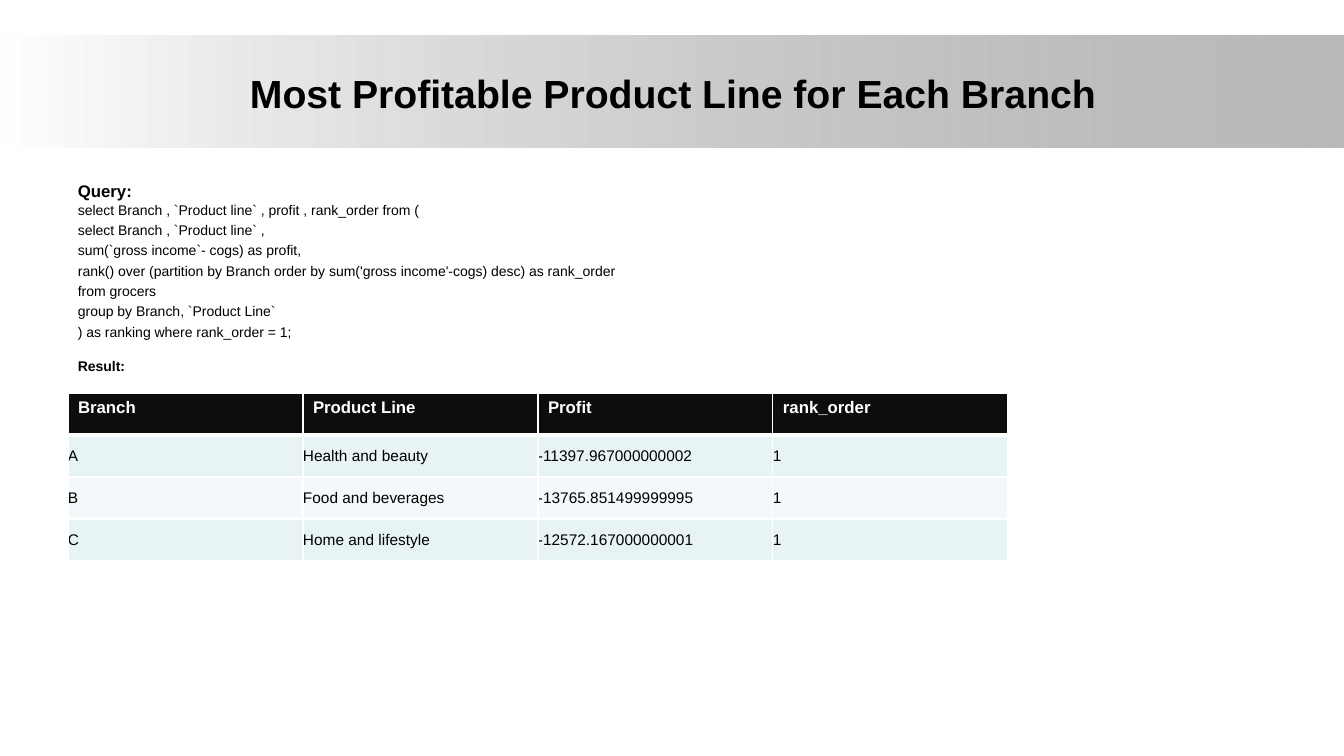
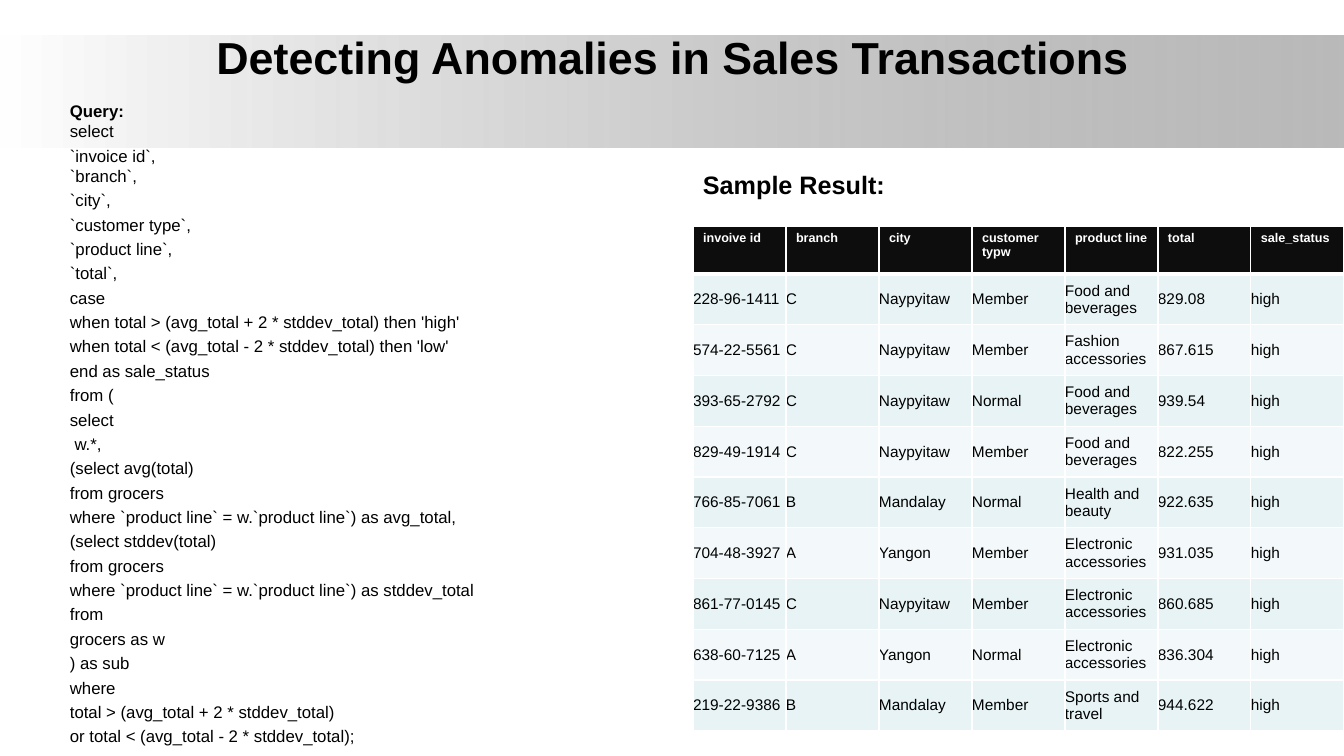
import dataclasses

import lxml.etree
import pptx
import pptx.dml.color
import pptx.enum.shapes
import pptx.enum.text
import pptx.oxml.ns
import pptx.util

PX = 914400 / 100.8
SLIDE_WIDTH, SLIDE_HEIGHT = 1344, 756
MARGIN, CONTENT_WIDTH = 68, 1210


@dataclasses.dataclass(frozen=True)
class Theme:
    font: str = "Arial"
    ink: str = "000000"
    paper: str = "FFFFFF"
    band_end: str = "808080"
    band_end_alpha: int = 54000
    header_fill: str = "0D0D0D"
    row_fills: tuple = ("E7F3F4", "F3F9FA")
    heading_size: int = 12
    subtitle_size: int = 18
    cell_size: int = 11
    rule: int = 1
    header_rule: int = 3
    line_gap: float = 0.25


def px(length):
    return pptx.util.Emu(round(length * PX))


def rgb(value):
    return pptx.dml.color.RGBColor.from_string(value)


class Deck:
    def __init__(self, theme):
        self.theme = theme
        self.presentation = pptx.Presentation()
        self.presentation.slide_width = px(SLIDE_WIDTH)
        self.presentation.slide_height = px(SLIDE_HEIGHT)
        self.slide = None

    def start_slide(self):
        self.slide = self.presentation.slides.add_slide(self.presentation.slide_layouts[6])
        background = self.slide.background.fill
        background.solid()
        background.fore_color.rgb = rgb(self.theme.paper)
        self.band(36, 112)

    def band(self, top, height):
        band = self.slide.shapes.add_shape(
            pptx.enum.shapes.MSO_SHAPE.RECTANGLE, 0, px(top), px(SLIDE_WIDTH), px(height))
        band.shadow.inherit = False
        band.line.fill.background()
        band.fill.gradient()
        band.fill.gradient_angle = 0
        colours = (self.theme.paper, self.theme.band_end)
        for position, (stop, colour) in enumerate(zip(band.fill.gradient_stops, colours)):
            stop.position = position
            stop.color.rgb = rgb(colour)
        end_colour = list(band.element.spPr.iter(pptx.oxml.ns.qn("a:srgbClr")))[-1]
        alpha = lxml.etree.SubElement(end_colour, pptx.oxml.ns.qn("a:alpha"))
        alpha.set("val", str(self.theme.band_end_alpha))

    def style(self, paragraph, size, bold=False, colour=None):
        for run in paragraph.runs:
            run.font.name = self.theme.font
            run.font.size = pptx.util.Pt(size)
            run.font.bold = bold
            run.font.color.rgb = rgb(colour or self.theme.ink)

    def frame(self, left, top, width, height):
        frame = self.slide.shapes.add_textbox(px(left), px(top), px(width), px(height)).text_frame
        frame.word_wrap = True
        return frame

    def title(self, text, top, height, size):
        frame = self.frame(MARGIN, top, CONTENT_WIDTH, height)
        frame.vertical_anchor = pptx.enum.text.MSO_ANCHOR.MIDDLE
        frame.text = text
        frame.paragraphs[0].alignment = pptx.enum.text.PP_ALIGN.CENTER
        self.style(frame.paragraphs[0], size, bold=True)

    def subtitle(self, text, left, top, width, height):
        frame = self.frame(left, top, width, height)
        frame.text = text
        self.style(frame.paragraphs[0], self.theme.subtitle_size, bold=True)

    def query(self, code, left, top, width, height, size, closing=None):
        frame = self.frame(left, top, width, height)
        frame.text = "Query:"
        self.style(frame.paragraphs[0], self.theme.heading_size, bold=True)
        for index, line in enumerate(code):
            paragraph = frame.add_paragraph()
            paragraph.text = line
            paragraph.space_before = pptx.util.Pt(size * self.theme.line_gap if index else 0)
            self.style(paragraph, size)
        if closing:
            paragraph = frame.add_paragraph()
            paragraph.text = closing
            paragraph.space_before = pptx.util.Pt(size * 1.25)
            self.style(paragraph, size, bold=True)

    def borders(self, cell, row):
        properties = cell._tc.get_or_add_tcPr()
        widths = {"L": self.theme.rule, "R": self.theme.rule,
                  "T": self.theme.header_rule if row == 1 else self.theme.rule,
                  "B": self.theme.header_rule if row == 0 else self.theme.rule}
        for index, (side, width) in enumerate(widths.items()):
            line = lxml.etree.Element(pptx.oxml.ns.qn("a:ln" + side), w=str(pptx.util.Pt(width)))
            fill = lxml.etree.SubElement(line, pptx.oxml.ns.qn("a:solidFill"))
            lxml.etree.SubElement(fill, pptx.oxml.ns.qn("a:srgbClr"), val=self.theme.paper)
            properties.insert(index, line)

    def table(self, header, records, left, top, column_width, header_height, body_height, header_size):
        rows = [header, *records]
        table = self.slide.shapes.add_table(
            len(rows), len(header), px(left), px(top),
            px(column_width * len(header)), px(header_height + body_height)).table
        for column in table.columns:
            column.width = px(column_width)
        for row, values in enumerate(rows):
            table.rows[row].height = px(body_height / len(records) if row else header_height)
            for column, value in enumerate(values):
                cell = table.cell(row, column)
                cell.text_frame.text = value
                cell.fill.solid()
                if row == 0:
                    cell.fill.fore_color.rgb = rgb(self.theme.header_fill)
                    self.style(cell.text_frame.paragraphs[0], header_size, True, self.theme.paper)
                else:
                    cell.fill.fore_color.rgb = rgb(self.theme.row_fills[(row - 1) % 2])
                    cell.vertical_anchor = pptx.enum.text.MSO_ANCHOR.MIDDLE
                    cell.margin_left = cell.margin_right = cell.margin_top = cell.margin_bottom = 0
                    self.style(cell.text_frame.paragraphs[0], self.theme.cell_size)
                self.borders(cell, row)


PROFIT_QUERY = (
    "select Branch , `Product line` , profit , rank_order from (",
    "select Branch , `Product line` ,",
    "sum(`gross income`- cogs) as profit,",
    "rank() over (partition by Branch order by sum('gross income'-cogs) desc) as rank_order",
    "from grocers",
    "group by Branch, `Product Line`",
    ") as ranking where rank_order = 1;",
)
PROFIT_HEADER = ("Branch", "Product Line", "Profit", "rank_order")
PROFIT_RECORDS = (
    ("A", "Health and beauty", "-11397.967000000002", "1"),
    ("B", "Food and beverages", "-13765.851499999995", "1"),
    ("C", "Home and lifestyle", "-12572.167000000001", "1"),
)

ANOMALY_QUERY = (
    "select",
    "`invoice id`,\v`branch`,",
    "`city`,",
    "`customer type`,",
    "`product line`,",
    "`total`,",
    "case",
    "when total > (avg_total + 2 * stddev_total) then 'high'",
    "when total < (avg_total - 2 * stddev_total) then 'low'",
    "end as sale_status",
    "from (",
    "select",
    " w.*,",
    "(select avg(total)",
    "from grocers",
    "where `product line` = w.`product line`) as avg_total,",
    "(select stddev(total)",
    "from grocers",
    "where `product line` = w.`product line`) as stddev_total",
    "from",
    "grocers as w",
    ") as sub",
    "where",
    "total > (avg_total + 2 * stddev_total)",
    "or total < (avg_total - 2 * stddev_total);",
)
ANOMALY_HEADER = ("invoive id", "branch", "city", "customer typw",
                  "product line", "total", "sale_status")
BRANCH_CITIES = {"A": "Yangon", "B": "Mandalay", "C": "Naypyitaw"}
ANOMALOUS_SALES = (
    ("228-96-1411", "C", "Member", "Food and beverages", "829.08"),
    ("574-22-5561", "C", "Member", "Fashion accessories", "867.615"),
    ("393-65-2792", "C", "Normal", "Food and beverages", "939.54"),
    ("829-49-1914", "C", "Member", "Food and beverages", "822.255"),
    ("766-85-7061", "B", "Normal", "Health and beauty", "922.635"),
    ("704-48-3927", "A", "Member", "Electronic accessories", "931.035"),
    ("861-77-0145", "C", "Member", "Electronic accessories", "860.685"),
    ("638-60-7125", "A", "Normal", "Electronic accessories", "836.304"),
    ("219-22-9386", "B", "Member", "Sports and travel", "944.622"),
)


def profit_slide(deck):
    deck.start_slide()
    deck.title("Most Profitable Product Line for Each Branch", 30, 126, 28)
    deck.query(PROFIT_QUERY, MARGIN, 176, CONTENT_WIDTH, 499, 10, closing="Result:")
    deck.table(PROFIT_HEADER, PROFIT_RECORDS, MARGIN, 393, 235, 42, 126, 12)


def anomaly_slide(deck):
    deck.start_slide()
    deck.title("Detecting Anomalies in Sales Transactions", 12, 90, 32)
    deck.query(ANOMALY_QUERY, 60, 96, 1217, 521, 12)
    deck.subtitle("Sample Result:", 693, 164, 448, 102)
    records = [(invoice, branch, BRANCH_CITIES[branch], customer, product, total, "high")
               for invoice, branch, customer, product, total in ANOMALOUS_SALES]
    deck.table(ANOMALY_HEADER, records, 693, 226, 93, 48, 457, 9)


def main():
    deck = Deck(Theme())
    profit_slide(deck)
    anomaly_slide(deck)
    deck.presentation.save("out.pptx")


if __name__ == "__main__":
    main()
